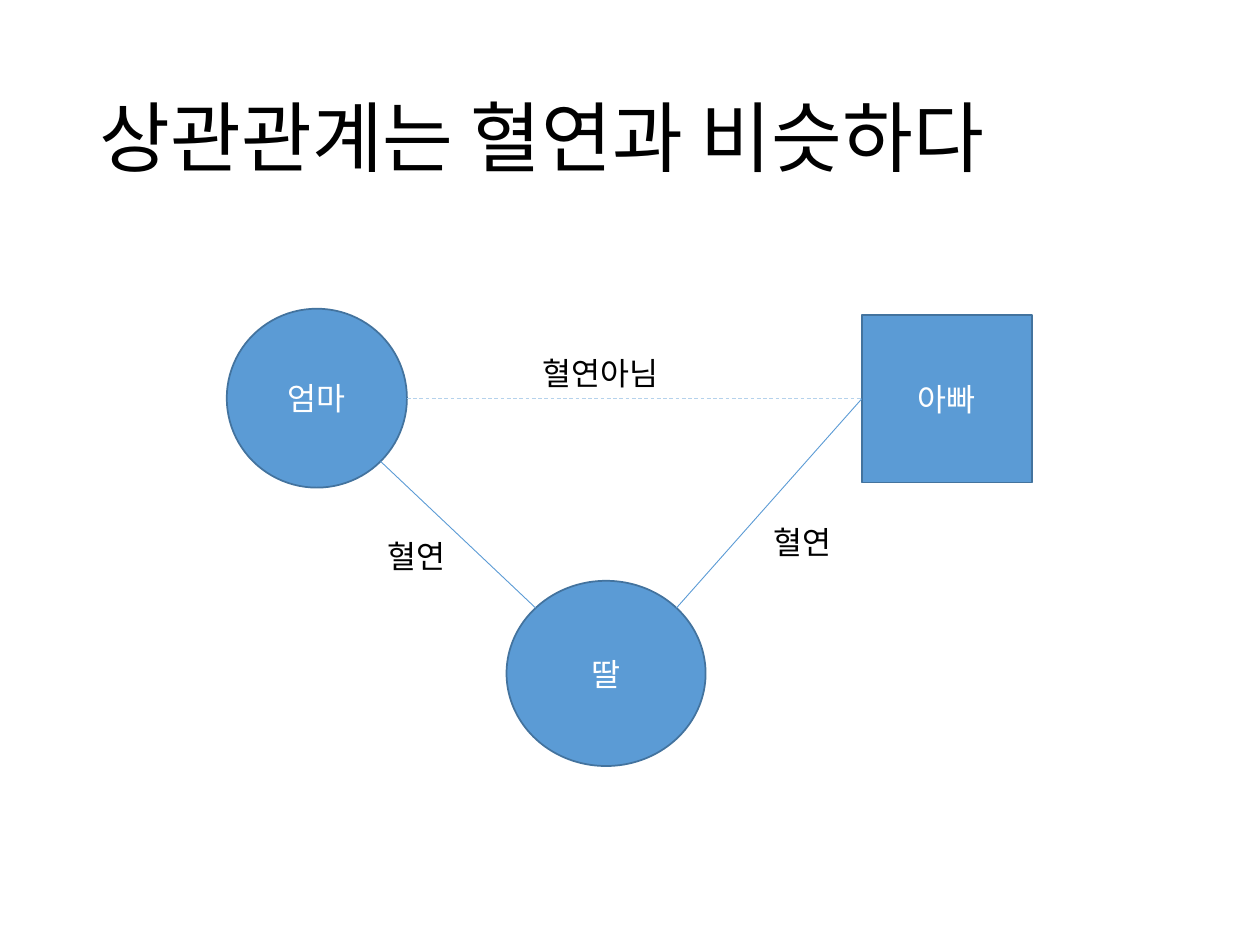
from math import cos, radians, sin

from lxml import etree
from pptx import Presentation
from pptx.dml.color import RGBColor
from pptx.enum.dml import MSO_LINE
from pptx.enum.shapes import MSO_CONNECTOR, MSO_SHAPE
from pptx.enum.text import MSO_ANCHOR, MSO_AUTO_SIZE, PP_ALIGN
from pptx.oxml.ns import qn
from pptx.util import Inches, Pt

OVAL, SQUARE = MSO_SHAPE.OVAL, MSO_SHAPE.RECTANGLE
STRAIGHT, DASH = MSO_CONNECTOR.STRAIGHT, MSO_LINE.DASH
LEFT, CENTER, MIDDLE = PP_ALIGN.LEFT, PP_ALIGN.CENTER, MSO_ANCHOR.MIDDLE
FIT_SHAPE, NO_FIT = MSO_AUTO_SIZE.SHAPE_TO_FIT_TEXT, MSO_AUTO_SIZE.NONE

BLUE = RGBColor(0x5B, 0x9B, 0xD5)
DARK_BLUE = RGBColor(0x43, 0x73, 0x9E)
PALE_BLUE = RGBColor(0xB5, 0xD2, 0xEC)
BLACK = RGBColor(0, 0, 0)
WHITE = RGBColor(0xFF, 0xFF, 0xFF)

FONT = "Calibri"
LABEL_HEIGHT = 0.4


def write(shape, text, size, color, alignment=LEFT):
    paragraph = shape.text_frame.paragraphs[0]
    paragraph.alignment = alignment
    run = paragraph.add_run()
    run.text = text
    run.font.name = FONT
    run.font.size = Pt(size)
    run.font.color.rgb = color
    return paragraph


def set_title(slide, text):
    title = slide.shapes.title
    title.left, title.top = Inches(0.69), Inches(0.4)
    title.width, title.height = Inches(8.62), Inches(1.45)
    title.text_frame.auto_size = NO_FIT
    title.text_frame.vertical_anchor = MIDDLE
    write(title, text, 44, BLACK).line_spacing = 0.9


def add_person(slide, kind, name, left, top, width, height):
    person = slide.shapes.add_shape(
        kind, Inches(left), Inches(top), Inches(width), Inches(height))
    person.shadow.inherit = False
    person.fill.solid()
    person.fill.fore_color.rgb = BLUE
    person.line.color.rgb = DARK_BLUE
    person.line.width = Pt(1)
    person.text_frame.vertical_anchor = MIDDLE
    write(person, name, 18, WHITE, CENTER)
    return person


def edge_point(person, angle):
    """Point on the ellipse inside the shape's box, in degrees clockwise from the right."""
    radius_x, radius_y = person.width / 2, person.height / 2
    return (round(person.left + radius_x * (1 + cos(radians(angle)))),
            round(person.top + radius_y * (1 + sin(radians(angle)))))


def add_relation(slide, start, end, color=BLUE, dash=None):
    relation = slide.shapes.add_connector(STRAIGHT, *start, *end)
    relation.line.color.rgb = color
    relation.line.width = Pt(0.5)
    if dash is not None:
        relation.line.dash_style = dash
    etree.SubElement(relation._element.spPr, qn("a:effectLst"))


def add_label(slide, text, left, top, width):
    label = slide.shapes.add_textbox(
        Inches(left), Inches(top), Inches(width), Inches(LABEL_HEIGHT))
    label.text_frame.word_wrap = False
    label.text_frame.auto_size = FIT_SHAPE
    write(label, text, 18, BLACK)


def main():
    presentation = Presentation()
    presentation.slide_width, presentation.slide_height = Inches(10), Inches(7.5)
    slide = presentation.slides.add_slide(presentation.slide_layouts[5])
    set_title(slide, "상관관계는 혈연과 비슷하다")

    mother = add_person(slide, OVAL, "엄마", 1.8, 2.45, 1.43, 1.42)
    father = add_person(slide, SQUARE, "아빠", 6.84, 2.5, 1.35, 1.33)
    daughter = add_person(slide, OVAL, "딸", 4.02, 4.61, 1.58, 1.47)

    add_relation(slide, edge_point(mother, 45), edge_point(daughter, 225))
    add_relation(slide, edge_point(father, 180), edge_point(daughter, 315))
    add_label(slide, "혈연", 6.04, 4.1, 0.71)
    add_label(slide, "혈연", 2.98, 4.21, 0.71)

    mother_right, middle = edge_point(mother, 0)
    add_relation(slide, (mother_right, middle), (father.left, middle), PALE_BLUE, DASH)
    add_label(slide, "혈연아님", 4.21, 2.76, 1.21)

    presentation.save("out.pptx")


if __name__ == "__main__":
    main()
